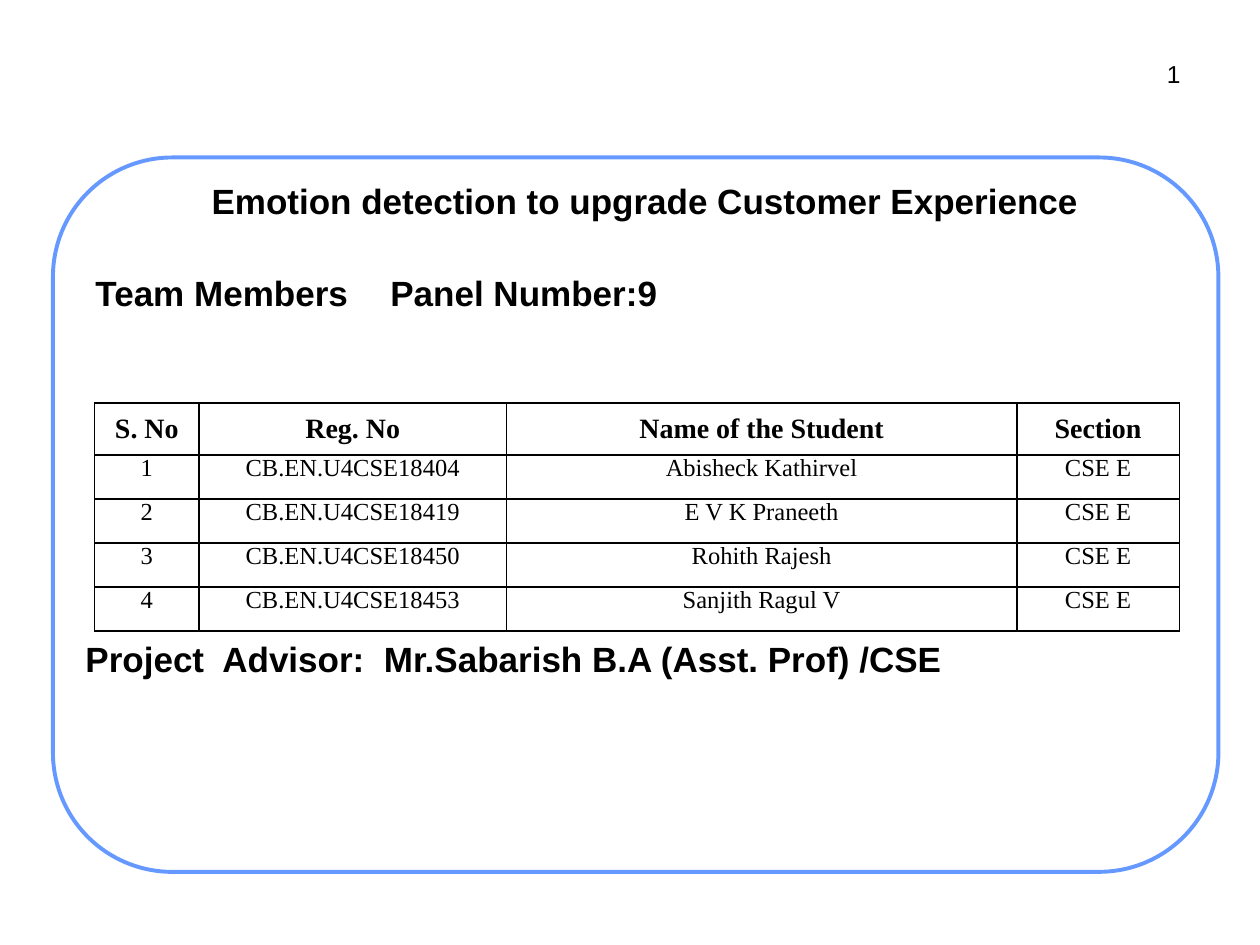
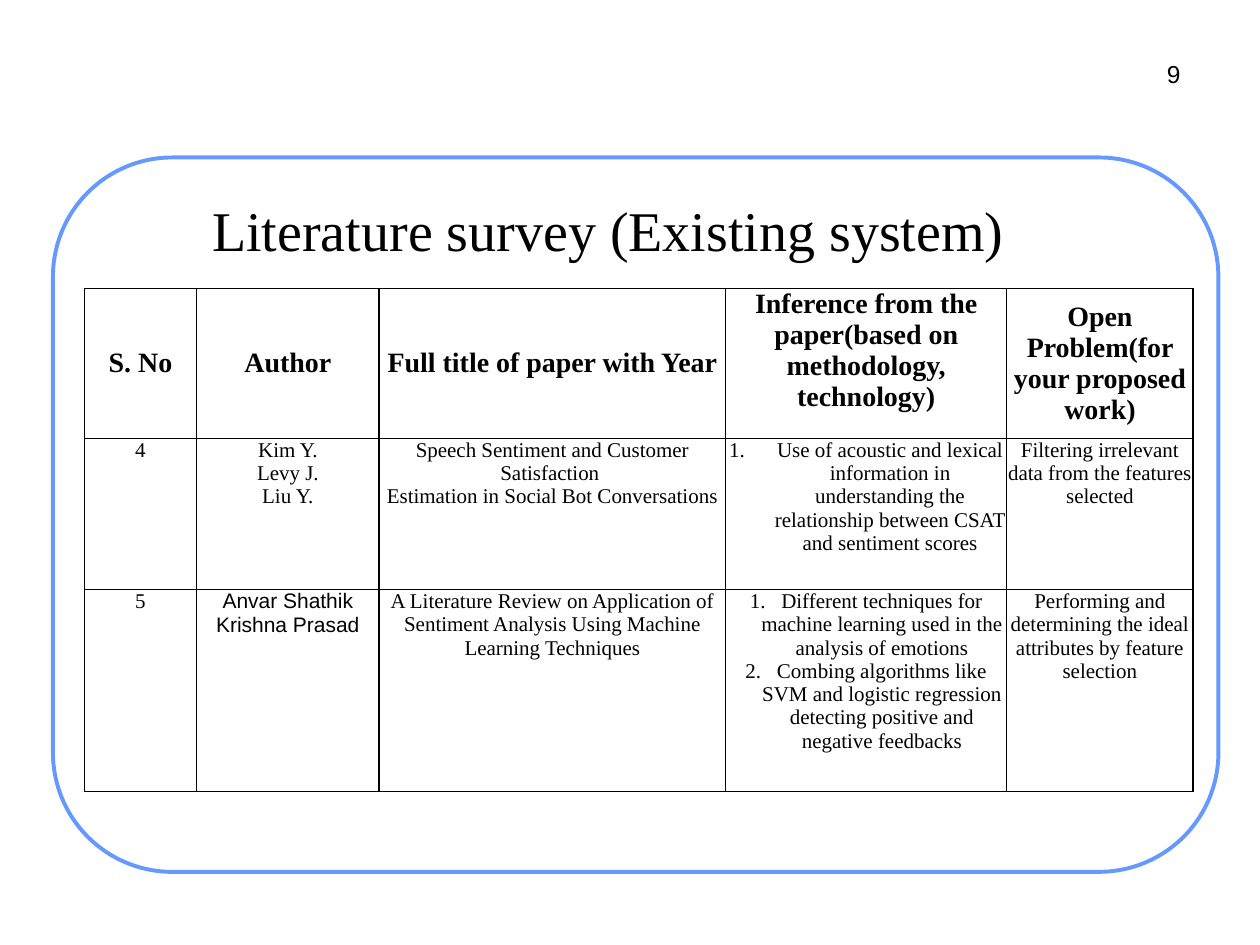
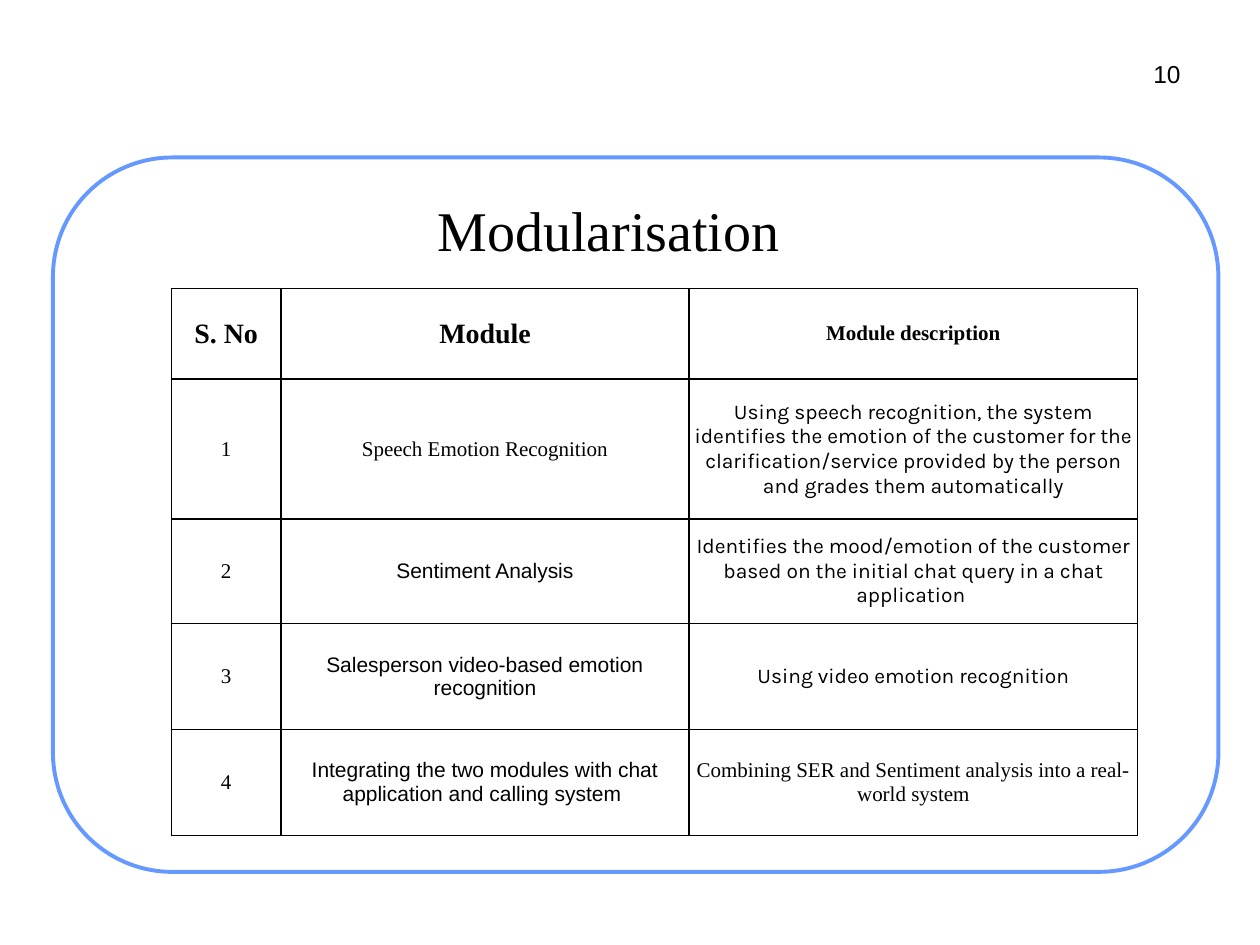
from lxml.etree import SubElement as Sub
from pptx import Presentation
from pptx.dml.color import RGBColor as RGB
from pptx.enum.shapes import MSO_SHAPE as Shape
from pptx.enum.text import MSO_ANCHOR as Anchor, PP_ALIGN as Align
from pptx.oxml.ns import qn
from pptx.util import Inches, Pt

# Theme
THEME = {
    "ink": RGB(0, 0, 0),
    "paper": RGB(255, 255, 255),
    "frame": RGB(0x66, 0x99, 0xFF),
    "sans": "Arial",
    "serif": "Times New Roman",
    "soft": "Karla",
    "title": 32, "lead": 20, "head": 16, "page": 14, "cell": 12,
    "pad": 0.05,
}
WIDE, HIGH = 10, 7.5
FRAME = (0.42, 1.25, 9.25, 5.67)
TITLE = (1.08, 1.38, 7.5, 0.88)
TOPIC = (1.37, 1.34, 7.5, 0.5)
BODY = (0.5, 2.17, 8.86, 4.14)
PAGE_END, PAGE_TOP, PAGE_HIGH, DIGIT = 9.42, 0.42, 0.34, 0.11


def cell(*paras, **fmt):
    """A table cell whose look differs from the rest of its table."""
    return paras, fmt


def sans(*paras):
    return cell(*paras, name=THEME["sans"])


def soft(*paras):
    return cell(*paras, name=THEME["soft"])


# Content
TEAM = ["Abisheck Kathirvel", "E V K Praneeth", "Rohith Rajesh",
        "Sanjith Ragul V"]
REGS = [404, 419, 450, 453]

SLIDES = [
    {
        "page": 1,
        "topic": "Emotion detection to upgrade Customer Experience",
        # text, first-line indent, space before
        "lines": [
            ("Team Members\tPanel Number:9", 0.16, 4),
            ("Project  Advisor:  Mr.Sabarish B.A (Asst. Prof) /CSE", 0.08, 190),
        ],
        "tab": 6.0,
        "at": (0.75, 3.2),
        "cols": [0.83, 2.44, 4.05, 1.29],
        "rows": [0.41] + [0.35] * 4,
        "size": 14,
        "anchor": Anchor.TOP,
        "cells": [["S. No", "Reg. No", "Name of the Student", "Section"]] + [
            [str(num), f"CB.EN.U4CSE18{reg}", name, "CSE E"]
            for num, (reg, name) in enumerate(zip(REGS, TEAM), 1)
        ],
    },
    {
        "page": 9,
        "title": "Literature survey (Existing system)",
        "at": (0.67, 2.29),
        "cols": [0.89, 1.45, 2.75, 2.23, 1.48],
        "rows": [1.19, 1.2, 1.6],
        "size": THEME["cell"],
        "anchor": Anchor.TOP,
        "cells": [
            ["S. No", "Author", "Full title of paper with Year",
             cell("Inference from the paper(based on methodology,",
                  "technology)", anchor=Anchor.TOP),
             "Open Problem(for your proposed work)"],
            ["4", cell("Kim Y.", "Levy J.", "Liu Y."),
             cell("Speech Sentiment and Customer Satisfaction ",
                  "Estimation in Social Bot Conversations"),
             cell("Use of acoustic and lexical information in understanding "
                  "the relationship between CSAT and sentiment scores",
                  hang=0.38),
             "Filtering irrelevant data from the features selected"],
            ["5", sans("Anvar Shathik", " Krishna Prasad "),
             "A Literature Review on Application of Sentiment Analysis "
             "Using Machine Learning Techniques",
             cell("Different techniques for machine learning used in the "
                  "analysis of emotions",
                  "Combing algorithms like SVM and logistic regression "
                  "detecting positive and negative feedbacks", hang=0.25),
             "Performing and determining the ideal attributes by feature "
             "selection"],
        ],
    },
    {
        "page": 10,
        "title": "Modularisation",
        "at": (1.36, 2.29),
        "cols": [0.87, 3.24, 3.56],
        "rows": [0.72, 1.11, 0.83, 0.84, 0.84],
        "size": THEME["cell"],
        "anchor": Anchor.MIDDLE,
        "cells": [
            ["S. No", "Module", cell("Module description", size=12)],
            ["1", "Speech Emotion Recognition",
             soft("Using speech recognition, the system identifies the "
                  "emotion of the customer for the clarification/service "
                  "provided by the person and grades them automatically")],
            ["2", sans("Sentiment Analysis"),
             soft("Identifies the mood/emotion of the customer based on the "
                  "initial chat query in a chat application ")],
            ["3", sans("Salesperson video-based emotion recognition"),
             soft("Using video emotion recognition")],
            ["4", sans("Integrating the two modules with chat application "
                       "and calling system "),
             "Combining SER and Sentiment analysis into a real-world system"],
        ],
    },
]


# Text helpers
def put(obj, vals):
    for key, val in vals.items():
        setattr(obj, key, val)


def inch(vals):
    return [Inches(val) for val in vals]


def write(para, text, name, size, bold=False, align=Align.LEFT):
    para.alignment = align
    run = para.add_run()
    run.text = text
    put(run.font, {"name": name, "size": Pt(size), "bold": bold})
    run.font.color.rgb = THEME["ink"]


def paras(frame, count):
    return [frame.paragraphs[0]] + [frame.add_paragraph()
                                    for _ in range(count - 1)]


def pad(obj, gap):
    put(obj, {f"margin_{side}": Inches(gap)
              for side in ("left", "right", "top", "bottom")})


def box(slide, at, anchor=Anchor.TOP, gap=THEME["pad"]):
    item = slide.shapes.add_textbox(*inch(at))
    put(item.text_frame, {"word_wrap": True, "vertical_anchor": anchor})
    pad(item.text_frame, gap)
    return item


def fill(obj):
    obj.fill.solid()
    obj.fill.fore_color.rgb = THEME["paper"]


def number(para, hang):
    props = para._p.get_or_add_pPr()
    props.set("marL", str(Inches(hang)))
    props.set("indent", str(-Inches(hang)))
    Sub(props, qn("a:buFont"), typeface="+mj-lt")
    Sub(props, qn("a:buAutoNum"), type="arabicPeriod")


def border(spot):
    props = spot._tc.get_or_add_tcPr()
    for side in ("lnL", "lnR", "lnT", "lnB"):
        line = Sub(props, qn(f"a:{side}"), w=str(Pt(1)))
        Sub(Sub(line, qn("a:solidFill")), qn("a:srgbClr"),
            val=str(THEME["ink"]))


# Slide parts
def base(slide, page):
    frame = slide.shapes.add_shape(Shape.ROUNDED_RECTANGLE, *inch(FRAME))
    frame.adjustments[0] = 0.167
    frame.shadow.inherit = False
    fill(frame)
    frame.line.color.rgb = THEME["frame"]
    frame.line.width = Pt(2.25)
    text = str(page)
    wide = DIGIT * len(text) + 2 * THEME["pad"]
    item = box(slide, (PAGE_END - wide, PAGE_TOP, wide, PAGE_HIGH))
    write(item.text_frame.paragraphs[0], text, THEME["sans"], THEME["page"],
          align=Align.RIGHT)


def head(slide, text, at, name, size, bold):
    item = box(slide, at, Anchor.MIDDLE)
    write(item.text_frame.paragraphs[0], text, name, size, bold, Align.CENTER)


def body(slide, lines, tab):
    item = box(slide, BODY, gap=2 * THEME["pad"])
    item.text_frame.margin_top = Inches(THEME["pad"])
    fill(item)
    for para, (text, dent, gap) in zip(paras(item.text_frame, len(lines)),
                                       lines):
        write(para, text, THEME["sans"], THEME["lead"], True)
        put(para, {"line_spacing": 0.8, "space_before": Pt(gap)})
        props = para._p.get_or_add_pPr()
        props.set("marL", "0")
        props.set("indent", str(Inches(dent)))
        if "\t" in text:
            Sub(Sub(props, qn("a:tabLst")), qn("a:tab"),
                pos=str(Inches(tab)), algn="l")


def grid(slide, data):
    cols, rows = data["cols"], data["rows"]
    table = slide.shapes.add_table(
        len(rows), len(cols), *inch((*data["at"], sum(cols), sum(rows)))).table
    put(table, {"first_row": False, "horz_banding": False})
    for col, wide in zip(table.columns, cols):
        col.width = Inches(wide)
    for r, (row, high) in enumerate(zip(table.rows, rows)):
        row.height = Inches(high)
        look = {"name": THEME["serif"], "bold": r == 0,
                "size": data["size"] if r else THEME["head"],
                "anchor": data["anchor"] if r else Anchor.MIDDLE, "hang": 0}
        for spot, entry in zip(row.cells, data["cells"][r]):
            texts, extra = cell(entry) if isinstance(entry, str) else entry
            fmt = {**look, **extra}
            spot.vertical_anchor = fmt.pop("anchor")
            hang = fmt.pop("hang")
            pad(spot, 0)
            border(spot)
            fill(spot)
            for para, text in zip(paras(spot.text_frame, len(texts)), texts):
                write(para, text, align=Align.CENTER, **fmt)
                if hang:
                    number(para, hang)


def main():
    deck = Presentation()
    deck.slide_width, deck.slide_height = inch((WIDE, HIGH))
    for data in SLIDES:
        slide = deck.slides.add_slide(deck.slide_layouts[6])
        base(slide, data["page"])
        if "topic" in data:
            body(slide, data["lines"], data["tab"])
            head(slide, data["topic"], TOPIC, THEME["sans"], THEME["lead"],
                 True)
        else:
            head(slide, data["title"], TITLE, THEME["serif"], THEME["title"],
                 False)
        grid(slide, data)
    deck.save("out.pptx")


if __name__ == "__main__":
    main()
